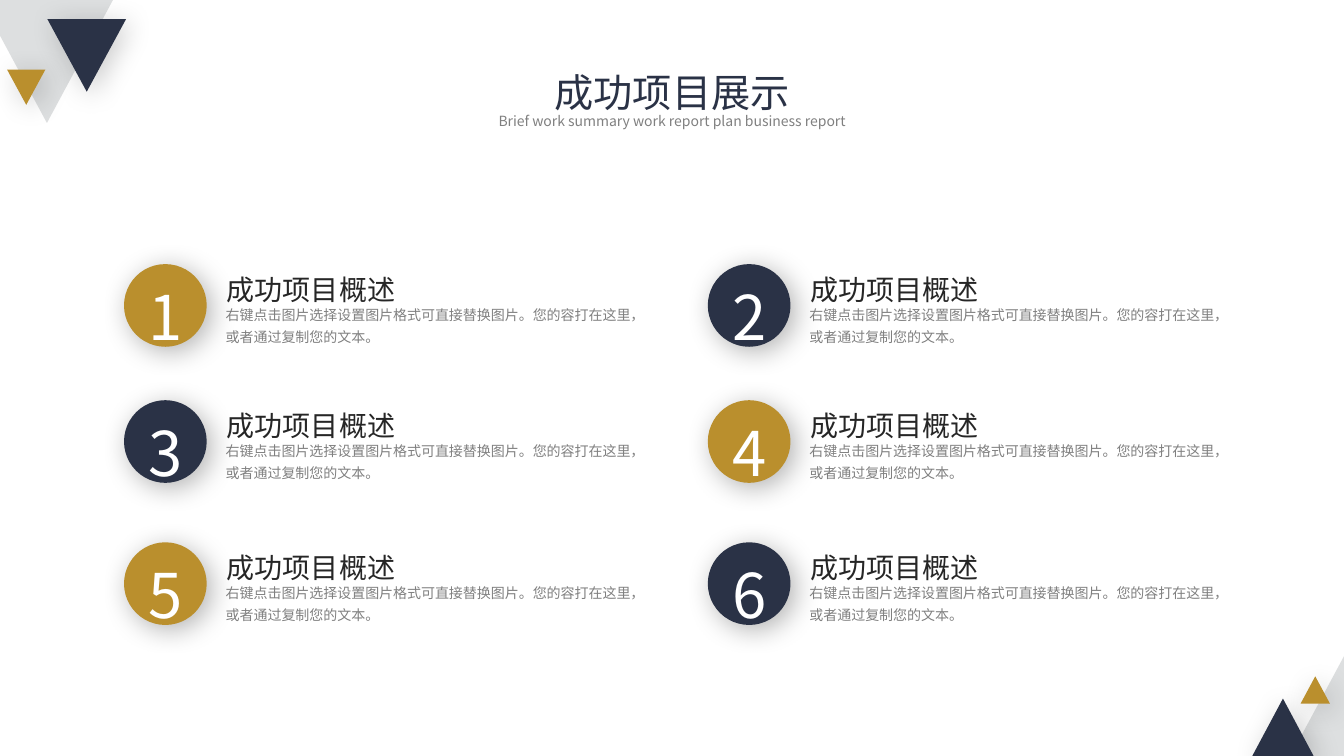
from pptx import Presentation
from pptx.dml.color import RGBColor
from pptx.enum.shapes import MSO_SHAPE as SHAPE
from pptx.enum.text import MSO_ANCHOR as ANCHOR, MSO_AUTO_SIZE as AUTO, PP_ALIGN as ALIGN
from pptx.oxml import parse_xml
from pptx.oxml.ns import nsdecls, qn
from pptx.util import Inches, Pt

FONT = "Noto Sans CJK SC"
NAVY, GOLD, PALE = "2A3246", "BA8F2D", "DDDFE0"
GREY, DARK, WHITE = "808080", "262626", "FFFFFF"
HEADING = "成功项目概述"
DETAIL = "右键点击图片选择设置图片格式可直接替换图片。您的容打在这里，或者通过复制您的文本。"


def rgb(value):
    return RGBColor.from_string(value)


def add_shadow(sp, opacity):
    sp._element.spPr.append(parse_xml(
        f'<a:effectLst {nsdecls("a")}>'
        f'<a:outerShdw blurRad="{Pt(20)}" dist="{Pt(5)}" dir="2700000" algn="tl" rotWithShape="0">'
        f'<a:srgbClr val="000000"><a:alpha val="{opacity * 1000}"/></a:srgbClr>'
        '</a:outerShdw></a:effectLst>'))


def add_figure(shapes, kind, box, color, opacity=0, rotation=0):
    sp = shapes.add_shape(kind, *map(Inches, box))
    sp.rotation = rotation
    sp.fill.solid()
    sp.fill.fore_color.rgb = rgb(color)
    sp.line.fill.background()
    if opacity:
        add_shadow(sp, opacity)
    else:
        sp.shadow.inherit = False


def set_text(sp, text, size, color, align=ALIGN.LEFT, spacing=1.3,
             anchor=ANCHOR.TOP, inset=(0.1, 0.05)):
    tf = sp.text_frame
    side, end = map(Inches, inset)
    frame = {"word_wrap": True, "auto_size": AUTO.NONE, "vertical_anchor": anchor,
             "margin_left": side, "margin_right": side,
             "margin_top": end, "margin_bottom": end}
    for name, value in frame.items():
        setattr(tf, name, value)
    p = tf.paragraphs[0]
    p.alignment, p.line_spacing = align, spacing
    r = p.add_run()
    r.text = text
    for name, value in {"name": FONT, "size": Pt(size), "bold": False}.items():
        setattr(r.font, name, value)
    r.font.color.rgb = rgb(color)
    r._r.get_or_add_rPr().append(
        parse_xml(f'<a:ea {nsdecls("a")} typeface="{FONT}"/>'))


def add_label(shapes, box, text, size, color, **style):
    set_text(shapes.add_textbox(*map(Inches, box)), text, size, color, **style)


def add_corner(s, left, top, triangles, rotation):
    for dx, dy, width, height, color, opacity in triangles:
        add_figure(s.shapes, SHAPE.ISOSCELES_TRIANGLE,
                   (left + dx, top + dy, width, height), color, opacity, rotation)


def add_header(s, left, top, width):
    title = s.shapes.title
    box = {"left": left + 1.04, "top": top, "width": width - 2.08, "height": 0.62}
    for name, value in box.items():
        setattr(title, name, Inches(value))
    set_text(title, "成功项目展示", 28, NAVY, align=ALIGN.CENTER, spacing=1.2)
    add_label(s.shapes, (left, top + 0.5, width, 0.29),
              "Brief work summary work report plan business report", 10, GREY,
              align=ALIGN.CENTER, spacing=1.2)


def add_project(s, left, top, number, color):
    shapes = s.shapes.add_group_shape().shapes
    add_figure(shapes, SHAPE.OVAL, (left, top, 0.82, 0.82), color, 30)
    add_label(shapes, (left + 0.15, top + 0.05, 0.52, 0.7), str(number), 44, WHITE,
              align=ALIGN.CENTER, anchor=ANCHOR.MIDDLE, inset=(0, 0))
    add_label(shapes, (left + 0.91, top + 0.32, 4.25, 0.52), DETAIL, 10, GREY)
    add_label(shapes, (left + 0.82, top - 0.12, 3.32, 0.6), HEADING, 20, DARK,
              inset=(0.2, 0.1))


def add_projects(s, left, top):
    for row, dy in enumerate((0, 1.35, 2.76)):
        for col in range(2):
            color = NAVY if (row + col) % 2 else GOLD
            add_project(s, left + col * 5.79, top + dy, row * 2 + col + 1, color)


def main():
    prs = Presentation()
    prs.slide_width, prs.slide_height = Inches(13.33), Inches(7.5)
    s = prs.slides.add_slide(prs.slide_layouts[5])
    s.background.fill.solid()
    s.background.fill.fore_color.rgb = rgb(WHITE)
    add_corner(s, -0.19, 0, [(0, 0, 1.31, 1.22, PALE, 0),
                             (0.66, 0.19, 0.78, 0.72, NAVY, 20),
                             (0.26, 0.69, 0.38, 0.35, GOLD, 20)], 180)
    add_corner(s, 12.41, 6.51, [(0.26, 0, 1.32, 1.23, PALE, 0),
                                (0, 0.42, 0.63, 0.59, NAVY, 20),
                                (0.49, 0.2, 0.29, 0.27, GOLD, 20)], 0)
    add_projects(s, 1.23, 2.62)
    add_header(s, 4.06, 0.53, 5.21)
    prs.save("out.pptx")


if __name__ == "__main__":
    main()
